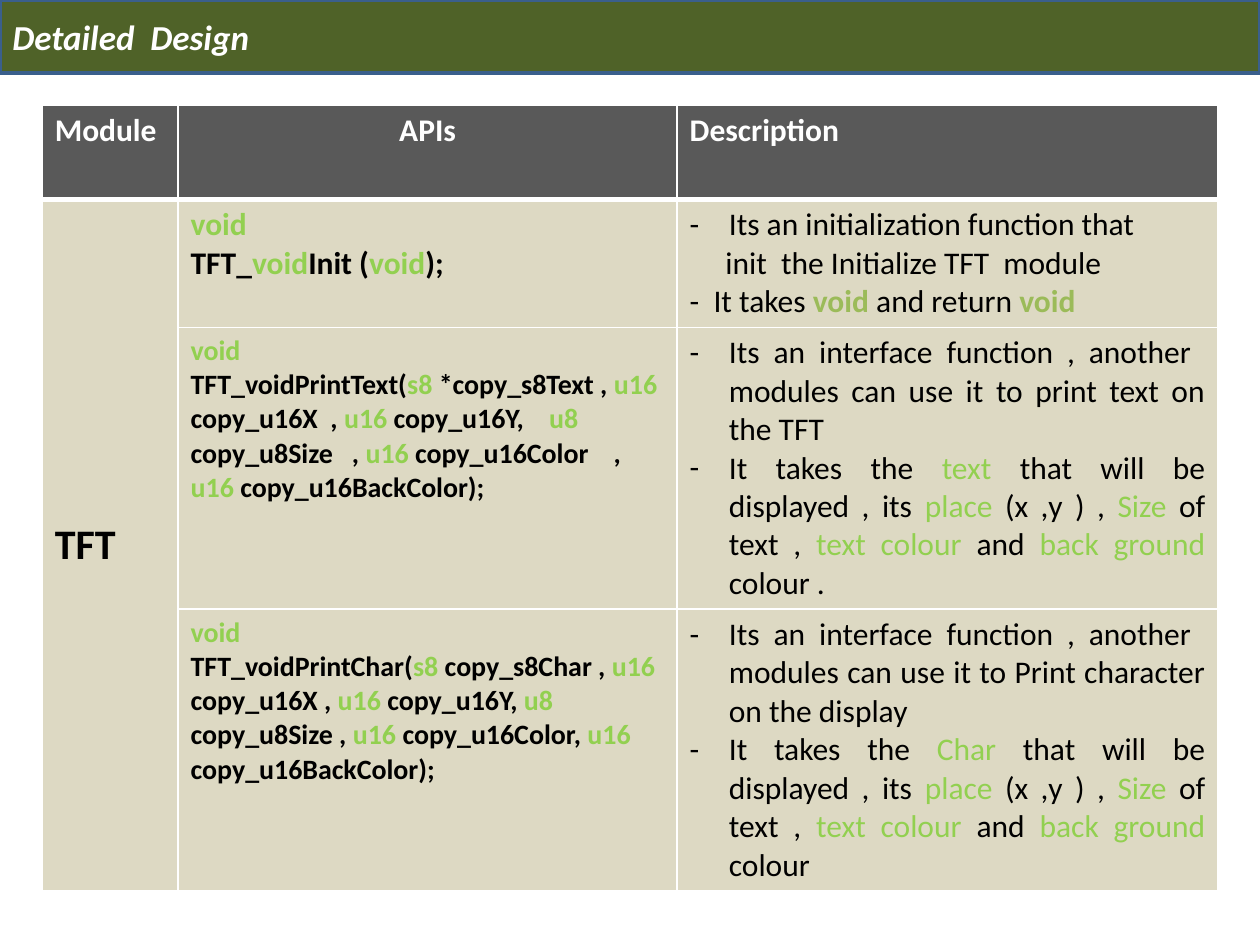
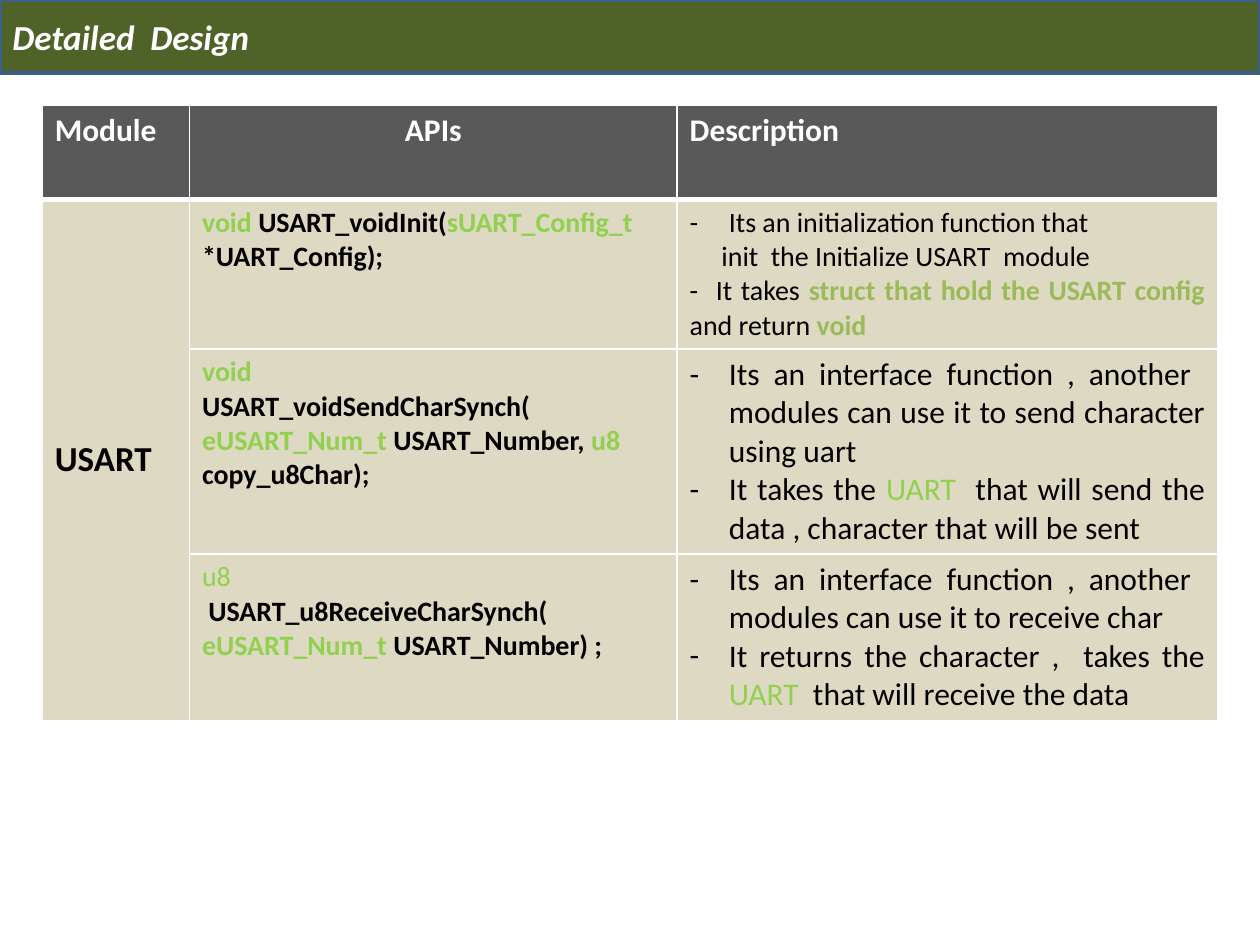
from dataclasses import dataclass
from lxml.etree import SubElement
from pptx import Presentation
from pptx.dml.color import RGBColor
from pptx.enum.shapes import MSO_SHAPE
from pptx.enum.text import MSO_ANCHOR, PP_ALIGN
from pptx.oxml.ns import qn
from pptx.util import Cm, Pt

FONT = "Calibri"
WHITE, BLACK = "FFFFFF", "000000"
BAND, EDGE = "4F6228", "3A5F8C"
HEAD, BODY = "595959", "DDD9C3"
LIME, OLIVE = "92D050", "9BBB59"
WIDTH, HEIGHT = 25.4, 19.05
HANG = 0.79
NOTE_COL = 10.9


def color(code):
    return RGBColor.from_string(code)


@dataclass
class Line:
    """One paragraph; every second piece between bars is tinted."""
    text: str
    size: int = 18
    bold: bool = False
    ink: str = BLACK
    tint: str = LIME
    strong: bool = False
    align: PP_ALIGN = PP_ALIGN.LEFT
    indent: float = 0
    dash: bool = False


def code(size, *texts, bold=True):
    return [Line(text, size, bold, strong=bold) for text in texts]


def note(text, size=18, dash=True, indent=HANG, **style):
    return Line(text, size, align=PP_ALIGN.JUSTIFY, indent=indent,
                dash=dash, **style)


def usage(purpose, details):
    return [note(f"Its an interface function , another  modules {purpose}"),
            note(details)]


def setup(module, takes, size):
    return [
        note("Its an initialization function that", size),
        note(f"init  the Initialize {module}  module", size, False, size * 0.04),
        note(f"-  It takes |{takes}| and return |void|", size, False, 0,
             tint=OLIVE, strong=True),
    ]


def write(frame, lines):
    for i, line in enumerate(lines):
        para = frame.paragraphs[0] if i == 0 else frame.add_paragraph()
        props = para._p.get_or_add_pPr()
        if line.indent:
            props.set("marL", str(Cm(line.indent)))
        if line.dash:
            props.set("indent", str(-Cm(line.indent)))
            SubElement(props, qn("a:buFont")).set("typeface", FONT)
            SubElement(props, qn("a:buChar")).set("char", "-")
        para.alignment = line.align
        for k, piece in enumerate(line.text.split("|")):
            if not piece:
                continue
            run = para.add_run()
            run.text = piece
            font = run.font
            font.name, font.size = FONT, Pt(line.size)
            font.bold = line.strong if k % 2 else line.bold
            font.color.rgb = color(line.tint if k % 2 else line.ink)


def border(cell, top, bottom):
    props = cell._tc.get_or_add_tcPr()
    for side, width in (("L", 1), ("R", 1), ("T", top), ("B", bottom)):
        rule = SubElement(props, qn(f"a:ln{side}"), w=str(Pt(width)))
        fill = SubElement(rule, qn("a:solidFill"))
        SubElement(fill, qn("a:srgbClr"), val=WHITE)


# Title band across the top
def banner(slide, left, top, width, height):
    band = slide.shapes.add_shape(MSO_SHAPE.RECTANGLE, Cm(left), Cm(top),
                                  Cm(width), Cm(height))
    band.shadow.inherit = False
    band.fill.solid()
    band.fill.fore_color.rgb = color(BAND)
    band.line.color.rgb = color(EDGE)
    band.line.width = Pt(2)
    frame = band.text_frame
    frame.vertical_anchor = MSO_ANCHOR.MIDDLE
    write(frame, [Line("Detailed  Design", 20, True, WHITE)])
    frame.paragraphs[0].runs[0].font.italic = True


# Table of one module: its name, functions and their descriptions
def listing(slide, left, top, width, name, first, rows, heights):
    grid = slide.shapes.add_table(len(heights), 3, Cm(left), Cm(top),
                                  Cm(width), Cm(sum(heights))).table
    for col, size in zip(grid.columns, (first, width - first - NOTE_COL, NOTE_COL)):
        col.width = Cm(size)
    for row, size in zip(grid.rows, heights):
        row.height = Cm(size)

    heads = [[Line(text, 18, True, WHITE)]
             for text in ("Module", "APIs", "Description")]
    heads[1][0].align = PP_ALIGN.CENTER
    cells = [heads] + [[[], *row] for row in rows]
    cells[1][0] = [name]
    for r, row in enumerate(cells):
        for c, lines in enumerate(row):
            cell = grid.cell(r, c)
            border(cell, 3 if r == 1 else 1, 3 if r == 0 else 1)
            cell.fill.solid()
            cell.fill.fore_color.rgb = color(BODY if r else HEAD)
            write(cell.text_frame, lines)

    label = grid.cell(1, 0)
    label.merge(grid.cell(len(rows), 0))
    label.vertical_anchor = MSO_ANCHOR.MIDDLE


def page(deck, *parts):
    slide = deck.slides.add_slide(deck.slide_layouts[6])
    banner(slide, 0, 0, WIDTH, 1.47)
    listing(slide, 0.85, 2.12, WIDTH - 1.7, *parts)


def shown(thing):
    return (f"It takes the |{thing}| that will be displayed , its |place| (x ,y ) , "
            "|Size| of text , |text colour |and |back ground |colour")


def main():
    deck = Presentation()
    deck.slide_width, deck.slide_height = Cm(WIDTH), Cm(HEIGHT)

    # Display module
    page(deck, Line("TFT", 24, True), 2.74, [
        (code(18, "|void|", "TFT_|void|Init (|void|);"),
         setup("TFT", "void", 18)),
        (code(16, "|void|",
              "TFT_voidPrintText(|s8 |*copy_s8Text , |u16| copy_u16X  , "
              "|u16| copy_u16Y,    |u8| copy_u8Size   , "
              "|u16| copy_u16Color    ,| u16 |copy_u16BackColor);"),
         usage("can use it to print text on the TFT", shown("text") + " .")),
        (code(16, "|void|",
              "TFT_voidPrintChar(|s8| copy_s8Char , |u16| copy_u16X , "
              "|u16| copy_u16Y,| u8 |copy_u8Size , "
              "|u16| copy_u16Color, |u16 |copy_u16BackColor);"),
         usage("can use it to Print character on the display", shown("Char"))),
    ], (1.9, 2.56, 5.68, 5.68))

    # Serial module
    page(deck, Line("USART", 20, True), 2.97, [
        (code(16, "|void |USART_voidInit(|sUART_Config_t| *UART_Config);"),
         setup("USART", "struct that hold the USART config", 16)),
        (code(16, "|void|", "USART_voidSendCharSynch(",
              "|eUSART_Num_t |USART_Number, |u8| copy_u8Char);"),
         usage("can use it to send character using uart",
               "It takes the |UART | that will send the data , "
               "character that will be sent")),
        (code(16, "|u8|", bold=False)
         + code(16, " USART_u8ReceiveCharSynch(",
                "|eUSART_Num_t |USART_Number) ;"),
         usage("can use it to receive char",
               "It returns the character ,  takes the |UART | "
               "that will receive the data")),
    ], (1.9, 3, 4.13, 3.35))

    deck.save("out.pptx")


if __name__ == "__main__":
    main()
